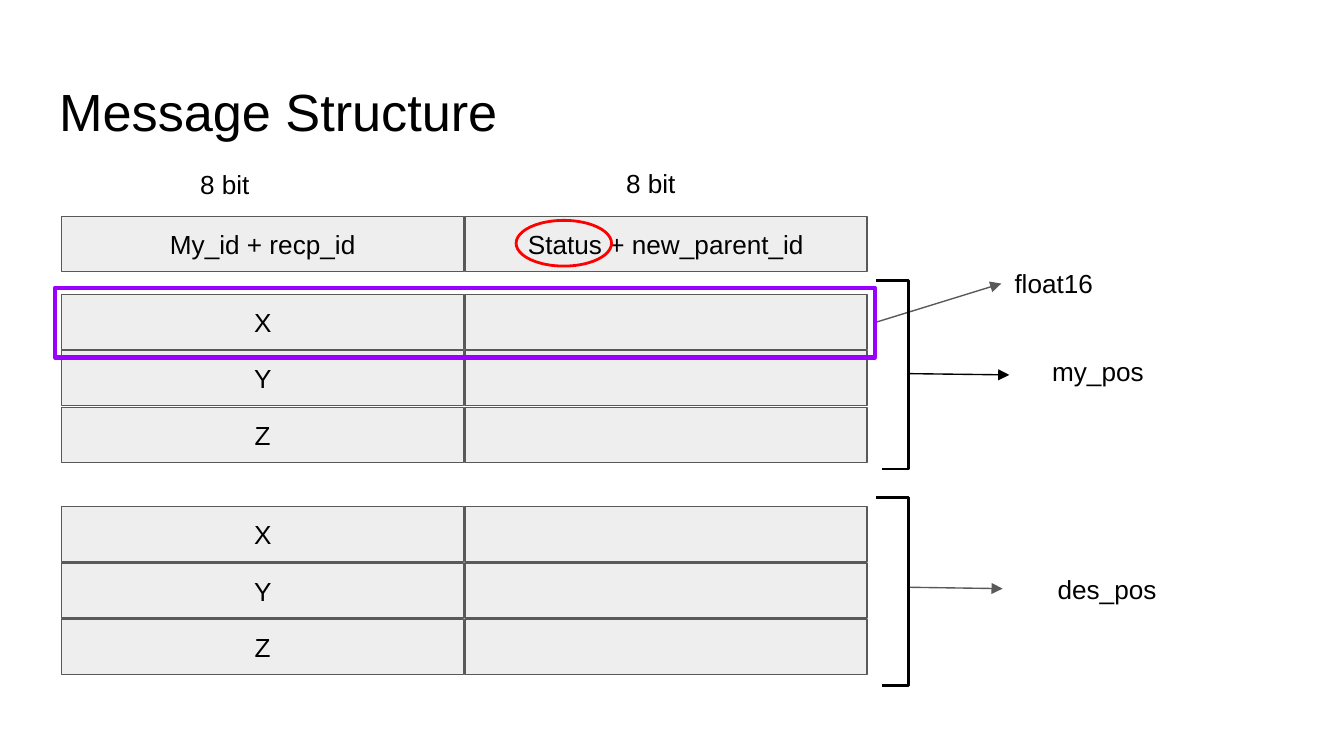
import pptx
import pptx.util
import pptx.dml.color
import pptx.enum.shapes
import pptx.enum.text
import pptx.oxml.ns
import lxml.etree

Inches, Pt = pptx.util.Inches, pptx.util.Pt
Color = pptx.dml.color.RGBColor
Shape = pptx.enum.shapes.MSO_SHAPE
Align = pptx.enum.text.PP_ALIGN
Anchor = pptx.enum.text.MSO_ANCHOR

BLACK = Color(0x00, 0x00, 0x00)
GRAY = Color(0x59, 0x59, 0x59)
PALE = Color(0xEE, 0xEE, 0xEE)
PURPLE = Color(0x99, 0x00, 0xFF)
RED = Color(0xFF, 0x00, 0x00)

TITLE = "Message Structure"
HEAD = ["My_id + recp_id", "Status + new_parent_id"]
AXES = [["X", ""], ["Y", ""], ["Z", ""]]
GRIDS = [(1.61, [HEAD]), (2.19, AXES), (3.77, AXES)]  # top, rows
LEFT, STEP, ROW = 0.46, 3.0, 0.42
CELL = (2.99, 0.41)

LABELS = [  # text, box, anchor
    ("my_pos", (7.73, 2.61, 1.15, 0.3), Anchor.MIDDLE),
    ("des_pos", (7.77, 4.23, 1.15, 0.3), Anchor.MIDDLE),
    ("8 bit", (1.39, 1.27, 0.61, 0.2), Anchor.MIDDLE),
    ("8 bit", (4.56, 1.26, 0.61, 0.2), Anchor.MIDDLE),
    ("float16", (7.45, 1.89, 0.91, 0.41), Anchor.TOP),
]
ARROWS = [  # start, end, color
    ((6.75, 2.78), (7.51, 2.79), BLACK),
    ((6.76, 4.37), (7.46, 4.38), GRAY),
    ((6.51, 2.4), (7.45, 2.11), GRAY),
]
MARKS = [  # shape, box, color, line width
    (Shape.RECTANGLE, (0.41, 2.14, 6.1, 0.52), PURPLE, 2.25),
    (Shape.OVAL, (3.84, 1.64, 0.71, 0.34), RED, 1.5),
]
BRACKETS = [2.09, 3.7]  # tops
TALL = 1.4


def write(shape, text, size=14, align=Align.LEFT, anchor=Anchor.MIDDLE):
    """Put formatted text into a shape."""
    frame = shape.text_frame
    frame.word_wrap = True
    frame.vertical_anchor = anchor
    frame.margin_left = frame.margin_right = Inches(0.1)
    frame.margin_top = frame.margin_bottom = Inches(0.1)
    para = frame.paragraphs[0]
    para.alignment = align
    run = para.add_run()
    run.text = text
    run.font.name, run.font.size = "Arial", Pt(size)
    run.font.color.rgb = BLACK


def style(shape, color, width, fill=None):
    """Set line and fill of a shape, without shadow."""
    shape.shadow.inherit = False
    shape.line.color.rgb = color
    shape.line.width = Pt(width)
    if fill is None:
        shape.fill.background()
    else:
        shape.fill.solid()
        shape.fill.fore_color.rgb = fill


def draw(kind, box, color, width, fill=None):
    """Add a preset shape."""
    shape = slide.shapes.add_shape(kind, *map(Inches, box))
    style(shape, color, width, fill)
    return shape


def grid(top, rows):
    """Add rows of message cells."""
    for r, row in enumerate(rows):
        for c, text in enumerate(row):
            box = (LEFT + c * STEP, top + r * ROW, *CELL)
            cell = draw(Shape.RECTANGLE, box, GRAY, 0.75, PALE)
            if text:
                write(cell, text, align=Align.CENTER)


def arrow(start, end, color):
    """Add a straight line with an arrowhead at its end."""
    kind = pptx.enum.shapes.MSO_CONNECTOR.STRAIGHT
    line = slide.shapes.add_connector(kind, *map(Inches, start + end))
    line.line.color.rgb = color
    line.line.width = Pt(0.75)
    qn = pptx.oxml.ns.qn
    props = line._element.spPr
    tip = lxml.etree.SubElement(props.find(qn("a:ln")), qn("a:tailEnd"))
    tip.set("type", "triangle")
    lxml.etree.SubElement(props, qn("a:effectLst"))


def bracket(top):
    """Add an open bracket beside a grid."""
    spots = [(6.52, top), (6.76, top), (6.76, top + TALL), (6.56, top + TALL)]
    spots = [(Inches(x), Inches(y)) for x, y in spots]
    form = slide.shapes.build_freeform(*spots[0])
    form.add_line_segments(spots[1:], close=False)
    style(form.convert_to_shape(), BLACK, 1.5)


deck = pptx.Presentation()
deck.slide_width = Inches(10)
deck.slide_height = deck.slide_width * 9 // 16
slide = deck.slides.add_slide(deck.slide_layouts[5])

title = slide.shapes.title
title.left, title.top = Inches(0.34), Inches(0.49)
title.width, title.height = Inches(9.32), Inches(0.63)
write(title, TITLE, size=28, anchor=Anchor.TOP)

for top, rows in GRIDS:
    grid(top, rows)
for item in ARROWS:
    arrow(*item)
for text, box, anchor in LABELS:
    write(slide.shapes.add_textbox(*map(Inches, box)), text, anchor=anchor)
for item in MARKS:
    draw(*item)
for top in BRACKETS:
    bracket(top)

deck.save("out.pptx")
